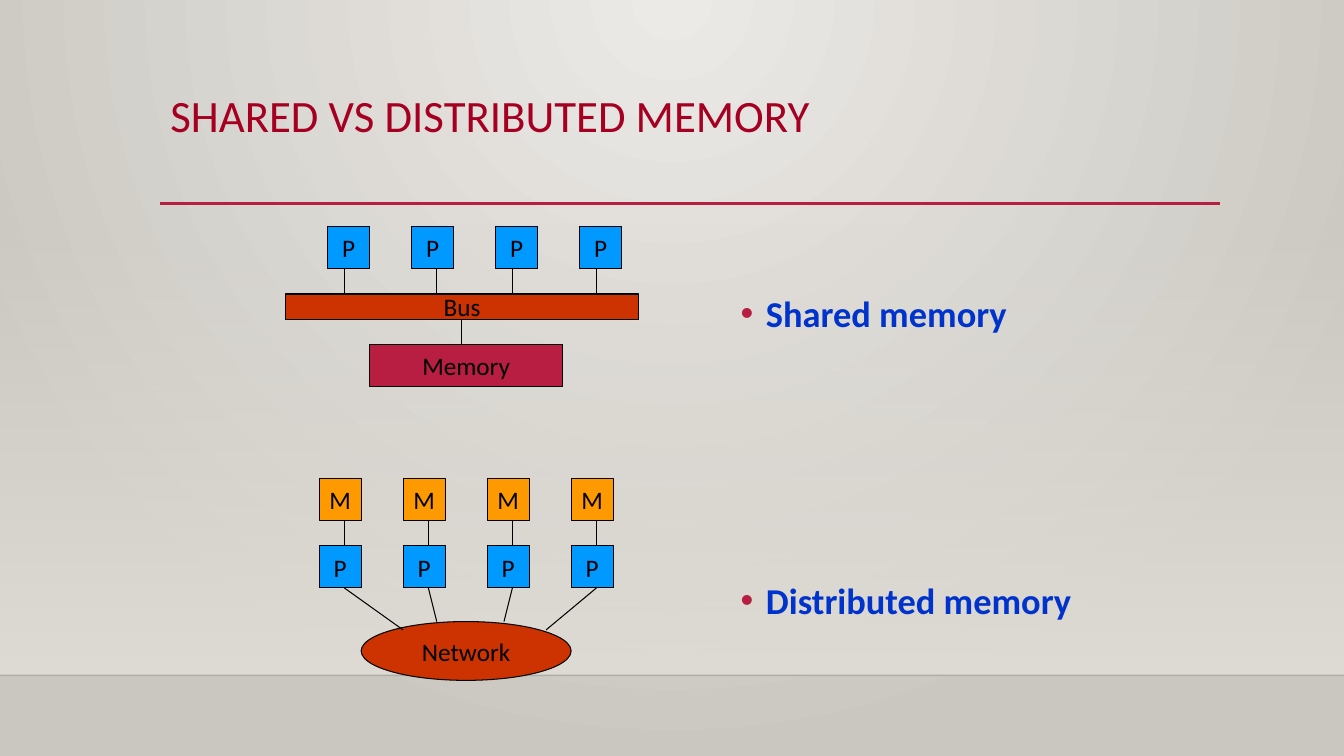
from lxml import etree
from pptx import Presentation
from pptx.dml.color import RGBColor
from pptx.enum.shapes import MSO_CONNECTOR, MSO_SHAPE
from pptx.enum.text import MSO_ANCHOR, PP_ALIGN
from pptx.oxml.ns import qn
from pptx.util import Inches, Pt

RECT, OVAL = MSO_SHAPE.RECTANGLE, MSO_SHAPE.OVAL
STRAIGHT = MSO_CONNECTOR.STRAIGHT
TOP, MIDDLE, CENTER = MSO_ANCHOR.TOP, MSO_ANCHOR.MIDDLE, PP_ALIGN.CENTER

BLACK = RGBColor(0x00, 0x00, 0x00)
CRIMSON = RGBColor(0xB7, 0x1E, 0x42)
TITLE_RED = RGBColor(0xA5, 0x00, 0x21)
TEXT_BLUE = RGBColor(0x00, 0x33, 0xCC)
CPU_BLUE = RGBColor(0x00, 0x99, 0xFF)
MEM_ORANGE = RGBColor(0xFF, 0x99, 0x00)
LINK_RED = RGBColor(0xCC, 0x33, 0x00)
GLOW = RGBColor(0xEC, 0xEA, 0xE7)
EDGE = RGBColor(0xCA, 0xC7, 0xC1)
WALL = RGBColor(0xDF, 0xDB, 0xD5)

COLS, ROWS = 160, 90
UNIT = 5        # side of a processor or memory box
PITCH = 10      # columns from one box to the next
COUNT = 4


def sub(parent, tag, **attrs):
    return etree.SubElement(parent, qn(tag), attrs)


def set_alpha(element, percent):
    sub(element.find(".//" + qn("a:srgbClr")), "a:alpha", val=str(percent * 1000))


class Board:
    """One slide addressed by columns and rows."""

    label_style = {"name": "Calibri", "size": Pt(18)}

    def __init__(self, prs):
        self.s = prs.slides.add_slide(prs.slide_layouts[6])
        self.col = prs.slide_width / COLS
        self.row = prs.slide_height / ROWS

    def place(self, x, y, w, h):
        return (round(x * self.col), round(y * self.row),
                round(w * self.col), round(h * self.row))

    def gradient(self, fill, colors):
        fill.gradient()
        for stop, color in zip(fill.gradient_stops, colors):
            stop.color.rgb = color

    def background(self, center, edge):
        self.gradient(self.s.background.fill, (center, edge))
        grad = self.s.element.find(".//" + qn("a:gradFill"))
        grad.remove(grad.find(qn("a:lin")))
        circle = sub(grad, "a:path", path="circle")
        sub(circle, "a:fillToRect", l="43000", t="0", r="43000", b="100000")

    def fade(self, x, y, w, h, color):
        """Add a panel that goes from clear at the top to solid."""
        sp = self.s.shapes.add_shape(RECT, *self.place(x, y, w, h))
        sp.shadow.inherit = False
        sp.line.fill.background()
        self.gradient(sp.fill, (color, color))
        sp.fill.gradient_angle = 270
        set_alpha(sp.element.find(".//" + qn("a:gs")), 0)

    def add_text(self, p, text, color, **style):
        r = p.add_run()
        r.text = text
        r.font.color.rgb = color
        for key, value in {**self.label_style, **style}.items():
            setattr(r.font, key, value)

    def box(self, text, x, y, w, h, color, kind=RECT):
        sp = self.s.shapes.add_shape(kind, *self.place(x, y, w, h))
        sp.shadow.inherit = False
        sp.fill.solid()
        sp.fill.fore_color.rgb = color
        sp.line.color.rgb = BLACK
        sp.line.width = Pt(0.75)
        tf = sp.text_frame
        tf.word_wrap = False
        tf.vertical_anchor = MIDDLE
        tf.paragraphs[0].alignment = CENTER
        self.add_text(tf.paragraphs[0], text, BLACK)
        return sp

    def box_row(self, text, x, y, color):
        for i in range(COUNT):
            self.box(text, x + i * PITCH, y, UNIT, UNIT, color)

    def line(self, x1, y1, x2, y2, color=BLACK, width=0.75):
        cx = self.s.shapes.add_connector(
            STRAIGHT, *self.place(x1, y1, x2, y2))
        cx.line.color.rgb = color
        cx.line.width = Pt(width)
        sub(cx.element.spPr, "a:effectLst")
        return cx

    def text_frame(self, x, y, w, h):
        tf = self.s.shapes.add_textbox(*self.place(x, y, w, h)).text_frame
        tf.word_wrap = True
        tf.vertical_anchor = TOP
        return tf

    def title(self, text, x, y, w, h):
        p = self.text_frame(x, y, w, h).paragraphs[0]
        p.line_spacing = 0.9
        self.add_text(p, text, TITLE_RED, size=Pt(32))

    def bullets(self, texts, x, y, w, h, gap):
        tf = self.text_frame(x, y, w, h)
        for i, text in enumerate(texts):
            p = tf.add_paragraph() if i else tf.paragraphs[0]
            p.line_spacing = 1.2
            p.space_before = Pt(gap if i else 0)
            pPr = p._p.get_or_add_pPr()
            pPr.set("marL", str(Inches(0.25)))
            pPr.set("indent", str(-Inches(0.25)))
            sub(sub(pPr, "a:buClr"), "a:srgbClr", val=str(CRIMSON))
            sub(pPr, "a:buFont", typeface="Arial")
            sub(pPr, "a:buChar", char="•")
            self.add_text(p, text, TEXT_BLUE, size=Pt(26), bold=True)


def draw_shared(board):
    board.box("Memory", 44, 41, 23, UNIT, CRIMSON)
    bus = board.box("Bus", 34, 35, 42, 3, LINK_RED)
    board.box_row("P", 39, 27, CPU_BLUE)
    for x in (41, 52, 61, 71):
        board.line(x, 32, x, 35)
    board.line(55, 38, 55, 41).begin_connect(bus, 2)


def draw_distributed(board):
    board.box_row("P", 38, 65, CPU_BLUE)
    board.box_row("M", 38, 57, MEM_ORANGE)
    board.box("Network", 43, 74, 25, 7, LINK_RED, OVAL)
    network_ends = ((48, 75), (52, 74), (60, 74), (65, 75))
    for i, (x, y) in enumerate(network_ends):
        port = 41 + i * PITCH
        board.line(port, 62, port, 65)
        board.line(port, 70, x, y)


def main():
    prs = Presentation()
    prs.slide_width, prs.slide_height = Inches(13.33), Inches(7.5)
    board = Board(prs)
    board.background(GLOW, EDGE)
    board.fade(0, 26.5, COLS, 53.9, WALL)
    floor = board.line(0, 80.4, COLS, 80.4, width=1)
    set_alpha(floor.element, 20)
    board.line(19.1, 24.2, 145.2, 24.2, CRIMSON, 2.5)
    board.title("SHARED VS DISTRIBUTED MEMORY", 19.1, 10.6, 126, 13.8)
    board.bullets(("Shared memory", "Distributed memory"), 87, 33, 50, 48, gap=168)
    draw_shared(board)
    draw_distributed(board)
    prs.save("out.pptx")


if __name__ == "__main__":
    main()
